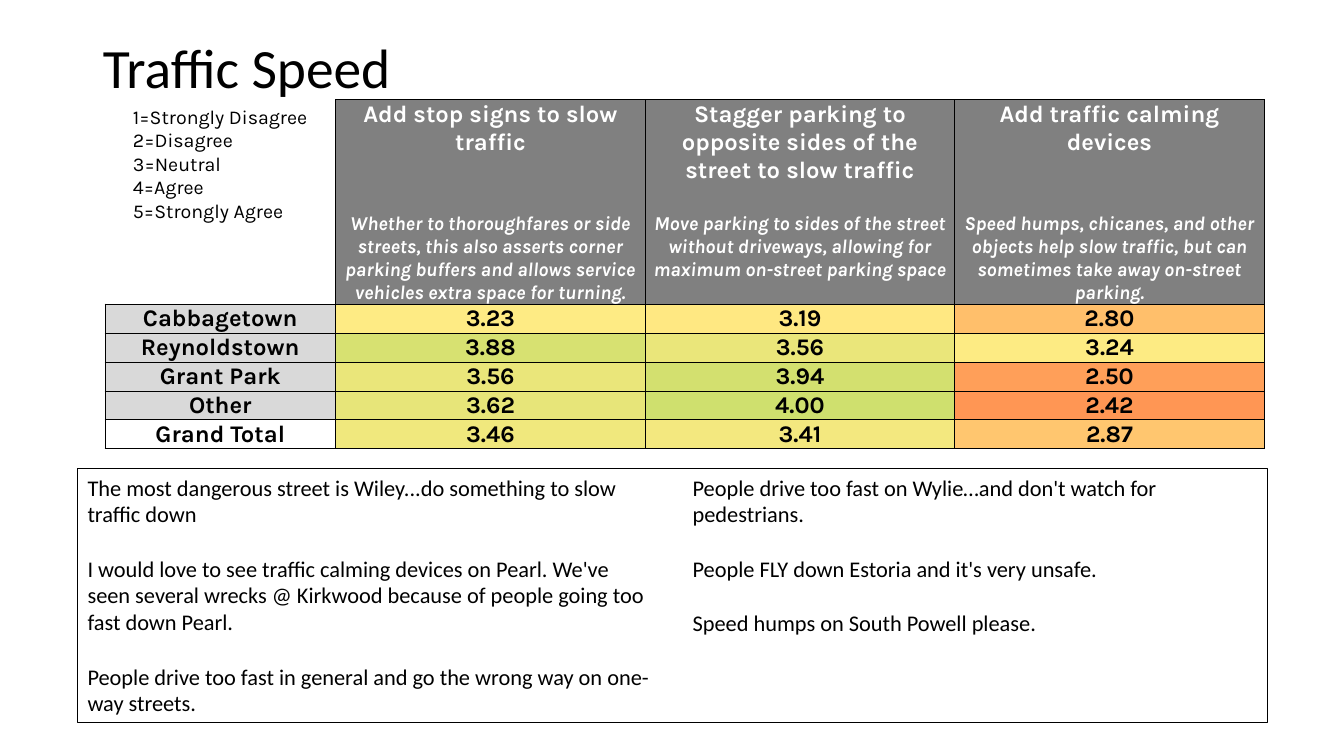
"""Build the Traffic Speed survey slide."""
import pptx
import pptx.dml.color
import pptx.enum.shapes
import pptx.enum.text
import pptx.oxml
import pptx.oxml.ns
import pptx.util

Inches = pptx.util.Inches
Pt = pptx.util.Pt
ANCHOR = pptx.enum.text.MSO_ANCHOR
ALIGN = pptx.enum.text.PP_ALIGN


def colour(code):
    return pptx.dml.color.RGBColor.from_string(code)


def assign(target, values):
    for name, value in values.items():
        setattr(target, name, value)


class SurveySlide:
    black = "000000"
    body_font = "Calibri"
    table_font = "Karla"
    cell_format = {"margin_left": Inches(0.01), "margin_right": Inches(0.01),
                   "margin_top": Inches(0.01), "margin_bottom": 0}

    def __init__(self, deck):
        self.slide = deck.slides.add_slide(deck.slide_layouts[5])

    def fill_text(self, frame, entries, font, code=black, align=ALIGN.LEFT):
        for index, (text, gap, extra) in enumerate(entries):
            line = frame.add_paragraph() if index else frame.paragraphs[0]
            assign(line, {"alignment": align, "space_before": Pt(gap)})
            run = line.add_run()
            run.text = text
            assign(run.font, {**font, **extra})
            run.font.color.rgb = colour(code)

    def title(self, text, place):
        heading = self.slide.shapes.title
        assign(heading, dict(zip(("left", "top", "width", "height"), map(Inches, place))))
        assign(heading.text_frame, {"vertical_anchor": ANCHOR.MIDDLE, "word_wrap": True,
                                    "auto_size": pptx.enum.text.MSO_AUTO_SIZE.NONE})
        self.fill_text(heading.text_frame, [(text, 0, {})],
                       {"name": self.body_font, "size": Pt(39.6)})
        heading.text_frame.paragraphs[0].line_spacing = 0.9

    def legend(self, lines, place):
        scale = self.slide.shapes.add_textbox(*map(Inches, place))
        scale.text_frame.word_wrap = True
        self.fill_text(scale.text_frame, [(line, 0, {}) for line in lines],
                       {"name": self.table_font, "size": Pt(14)})

    def comments(self, entries, place):
        box = self.slide.shapes.add_shape(
            pptx.enum.shapes.MSO_SHAPE.RECTANGLE, *map(Inches, place))
        box.shadow.inherit = False
        box.fill.background()
        box.line.color.rgb = colour(self.black)
        box.line.width = Pt(0.75)
        assign(box.text_frame, {"word_wrap": True, "vertical_anchor": ANCHOR.TOP})
        columns = box.element.txBody.bodyPr
        columns.set("numCol", "2")
        columns.set("spcCol", str(Inches(0.4)))
        self.fill_text(box.text_frame, [(text, gap, {}) for text, gap in entries],
                       {"name": self.body_font, "size": Pt(16)})

    def table(self, place, widths, heights):
        grid = self.slide.shapes.add_table(
            len(heights), len(widths), *map(Inches, place)).table
        assign(grid, {"first_row": False, "horz_banding": False})
        for column, width in zip(grid.columns, widths):
            column.width = Inches(width)
        for row, height in zip(grid.rows, heights):
            row.height = Inches(height)
        return grid

    def cell(self, cell, entries, fill, code=black, anchor=ANCHOR.BOTTOM, edges="LRTB"):
        assign(cell, {**self.cell_format, "vertical_anchor": anchor})
        properties = cell._tc.get_or_add_tcPr()
        for edge in edges:
            properties.append(pptx.oxml.parse_xml(
                f'<a:ln{edge} {pptx.oxml.ns.nsdecls("a")} w="{Pt(0.5)}"><a:solidFill>'
                f'<a:srgbClr val="{self.black}"/></a:solidFill></a:ln{edge}>'))
        cell.fill.solid()
        cell.fill.fore_color.rgb = colour(fill)
        self.fill_text(cell.text_frame, entries,
                       {"name": self.table_font, "size": Pt(17), "bold": True},
                       code, ALIGN.CENTER)


PROPOSALS = [
    ("Add stop signs to slow traffic", 40,
     "Whether to thoroughfares or side streets, this also asserts corner parking "
     "buffers and allows service vehicles extra space for turning."),
    ("Stagger parking to opposite sides of the street to slow traffic", 20,
     "Move parking to sides of the street without driveways, allowing for maximum "
     "on-street parking space"),
    ("Add traffic calming devices", 40,
     "Speed humps, chicanes, and other objects help slow traffic, but can sometimes "
     "take away on-street parking."),
]
SCORES = [
    ("Cabbagetown", "D9D9D9", [("3.23", "FEEB84"), ("3.19", "FFE882"), ("2.80", "FFBF6B")]),
    ("Reynoldstown", "D9D9D9", [("3.88", "D7E171"), ("3.56", "EAE67A"), ("3.24", "FDEB83")]),
    ("Grant Park", "D9D9D9", [("3.56", "EAE67A"), ("3.94", "D3E06F"), ("2.50", "FF9F59")]),
    ("Other", "D9D9D9", [("3.62", "E7E579"), ("4.00", "CFE06E"), ("2.42", "FF9654")]),
    ("Grand Total", "FFFFFF", [("3.46", "F0E87D"), ("3.41", "F3E87F"), ("2.87", "FFC66F")]),
]
SCALE = ["1=Strongly Disagree", "2=Disagree", "3=Neutral", "4=Agree", "5=Strongly Agree"]
COMMENTS = [
    ("The most dangerous street is Wiley...do something to slow traffic down", 0),
    ("I would love to see traffic calming devices on Pearl. We've seen several wrecks "
     "@ Kirkwood because of people going too fast down Pearl.", 19.5),
    ("People drive too fast in general and go the wrong way on one-way streets.", 19.5),
    ("People drive too fast on Wylie…and don't watch for pedestrians.", 0),
    ("People FLY down Estoria and it's very unsafe.", 19.5),
    ("Speed humps on South Powell please.", 19.5),
]


def main():
    deck = pptx.Presentation()
    assign(deck, {"slide_width": Inches(13.33), "slide_height": Inches(7.5)})
    survey = SurveySlide(deck)
    survey.title("Traffic Speed", (0.92, 0.4, 11.5, 0.59))

    ratings = survey.table((1.04, 0.99, 11.5, 3.42), [2.29] + [3.07] * 3,
                           [2.02] + [0.28] * len(SCORES))
    survey.cell(ratings.cell(0, 0), [], "FFFFFF", edges="RB")
    for column, (proposal, gap, detail) in enumerate(PROPOSALS, 1):
        survey.cell(ratings.cell(0, column),
                    [(proposal, 0, {}), (detail, gap, {"size": Pt(14), "italic": True})],
                    "808080", "FFFFFF", ANCHOR.TOP)
    for row, (area, shade, scores) in enumerate(SCORES, 1):
        for column, (text, fill) in enumerate([(area, shade)] + scores):
            survey.cell(ratings.cell(row, column), [(text, 0, {})], fill)

    survey.legend(SCALE, (1.22, 0.99, 2.01, 1.28))
    survey.comments(COMMENTS, (0.77, 4.65, 11.8, 2.52))
    deck.save("out.pptx")


if __name__ == "__main__":
    main()
